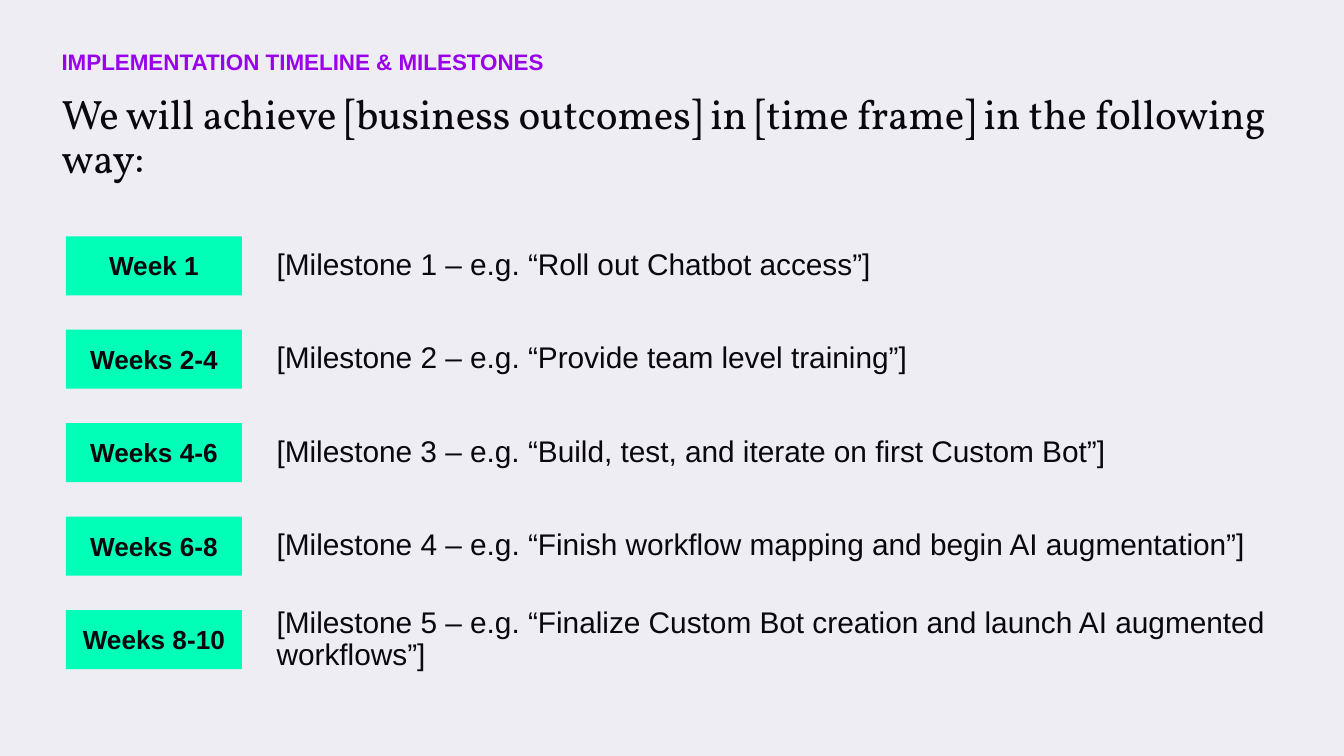
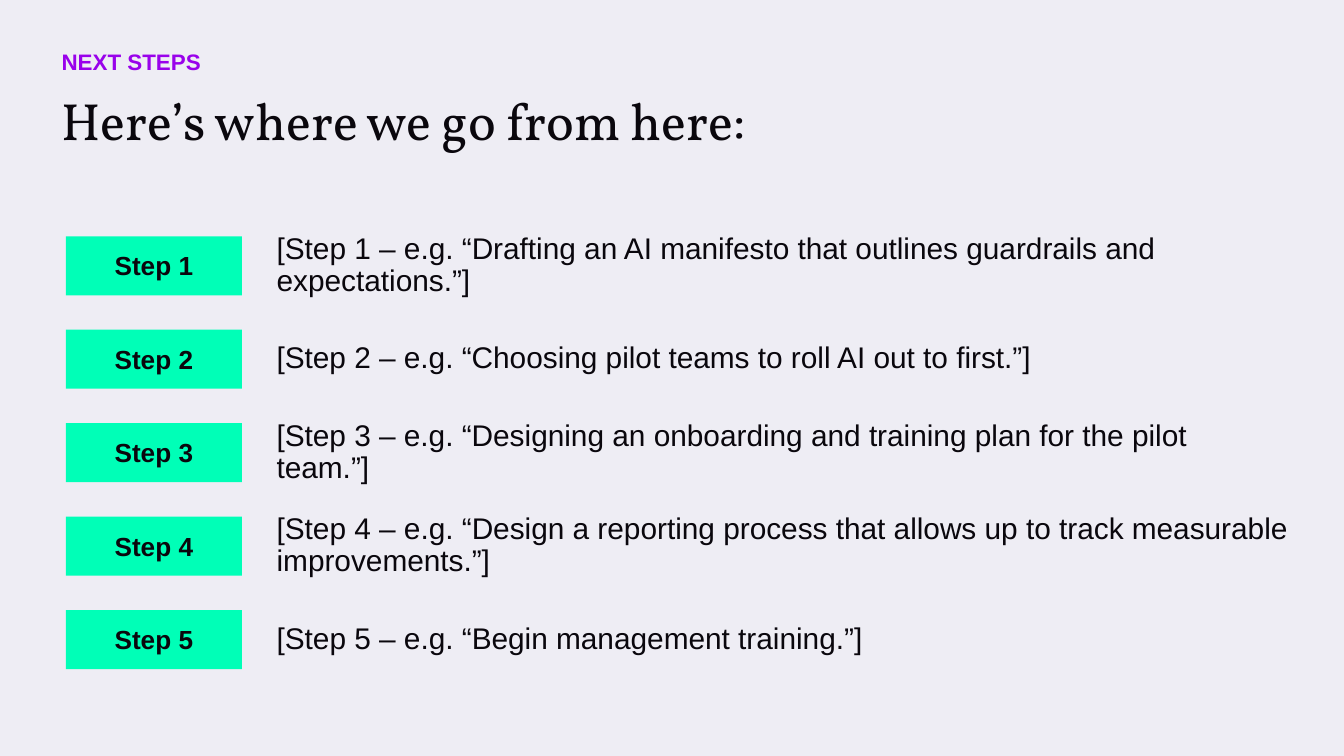
from dataclasses import dataclass

from pptx import Presentation
from pptx.dml.color import RGBColor
from pptx.enum.shapes import MSO_SHAPE
from pptx.enum.text import MSO_ANCHOR, MSO_AUTO_SIZE, PP_ALIGN
from pptx.util import Inches, Pt

RECTANGLE = MSO_SHAPE.RECTANGLE
TOP, MIDDLE = MSO_ANCHOR.TOP, MSO_ANCHOR.MIDDLE
LEFT, CENTER = PP_ALIGN.LEFT, PP_ALIGN.CENTER
GROW, FIXED = MSO_AUTO_SIZE.SHAPE_TO_FIT_TEXT, MSO_AUTO_SIZE.NONE

COLORS = {
    "background": "EEEDF4",
    "ink": "0A070D",
    "kicker": "9901EB",
    "badge": "00FFB7",
}

# The slide is a grid of 100 columns by 100 rows.
SLIDE_WIDTH = Inches(10)
SLIDE_HEIGHT = SLIDE_WIDTH * 9 // 16
COLUMN = SLIDE_WIDTH / 100
ROW = SLIDE_HEIGHT / 100

FIRST_ITEM_ROW = 35.16  # vertical centre of the first item
ITEM_PITCH = 12.36
BADGE_HEIGHT = 7.82
ITEM_TEXT_HEIGHT = 12.27


@dataclass(frozen=True)
class Area:
    """Columns and rows on the slide grid."""
    left: float
    top: float
    width: float
    height: float

    def lengths(self) -> tuple[int, int, int, int]:
        return (round(self.left * COLUMN), round(self.top * ROW),
                round(self.width * COLUMN), round(self.height * ROW))


@dataclass(frozen=True)
class TextStyle:
    font: dict
    color: str
    paragraph: dict
    anchor: MSO_ANCHOR = TOP
    auto_size: MSO_AUTO_SIZE = FIXED


@dataclass(frozen=True)
class Title:
    text: str
    size: int
    area: Area


@dataclass(frozen=True)
class Item:
    label: str
    text: str
    text_width: float


@dataclass(frozen=True)
class Page:
    kicker: str
    title: Title
    items: tuple[Item, ...]


KICKER_AREA = Area(3.6, 4.62, 51, 7.64)
KICKER_STYLE = TextStyle({"name": "Arial", "size": Pt(12), "bold": True},
                         "kicker", {"alignment": LEFT})
BADGE_STYLE = TextStyle({"name": "Arial", "size": Pt(14), "bold": True},
                        "ink", {"alignment": CENTER}, auto_size=GROW)
ITEM_STYLE = TextStyle({"name": "Arial", "size": Pt(16)}, "ink",
                       {"alignment": LEFT, "line_spacing": 0.9, "space_after": Pt(10)},
                       anchor=MIDDLE)

PAGES = (
    Page(
        "IMPLEMENTATION TIMELINE & MILESTONES",
        Title("We will achieve [business outcomes] in [time frame] in the following way:",
              22, Area(3.6, 10.67, 93.2, 14.93)),
        (
            Item("Week 1", "[Milestone 1 – e.g. “Roll out Chatbot access”]", 55.8),
            Item("Weeks 2-4", "[Milestone 2 – e.g. “Provide team level training”]", 55.8),
            Item("Weeks 4-6",
                 "[Milestone 3 – e.g. “Build, test, and iterate on first Custom Bot”]", 75.4),
            Item("Weeks 6-8",
                 "[Milestone 4 – e.g. “Finish workflow mapping and begin AI augmentation”]", 78.1),
            Item("Weeks 8-10",
                 "[Milestone 5 – e.g. “Finalize Custom Bot creation and launch AI "
                 "augmented workflows”]", 75.8),
        ),
    ),
    Page(
        "NEXT STEPS",
        Title("Here’s where we go from here:", 28, Area(3.6, 10.84, 91.4, 7.64)),
        (
            Item("Step 1",
                 "[Step 1 – e.g. “Drafting an AI manifesto that outlines guardrails and "
                 "expectations.”]", 72.9),
            Item("Step 2", "[Step 2 – e.g. “Choosing pilot teams to roll AI out to first.”]", 73.7),
            Item("Step 3",
                 "[Step 3 – e.g. “Designing an onboarding and training plan for the pilot "
                 "team.”]", 75.4),
            Item("Step 4",
                 "[Step 4 – e.g. “Design a reporting process that allows up to track "
                 "measurable improvements.”]", 78.1),
            Item("Step 5", "[Step 5 – e.g. “Begin management training.”]", 75.8),
        ),
    ),
)


def set_attributes(target, values: dict) -> None:
    for name, value in values.items():
        setattr(target, name, value)


def color(name: str) -> RGBColor:
    return RGBColor.from_string(COLORS[name])


def write_text(shape, text: str, style: TextStyle) -> None:
    frame = shape.text_frame
    margins = dict.fromkeys(
        ("margin_left", "margin_top", "margin_right", "margin_bottom"), Inches(0.1))
    set_attributes(frame, {"word_wrap": True, "auto_size": style.auto_size,
                           "vertical_anchor": style.anchor, **margins})
    para = frame.paragraphs[0]
    set_attributes(para, style.paragraph)
    span = para.add_run()
    span.text = text
    set_attributes(span.font, style.font)
    span.font.color.rgb = color(style.color)


def add_text(slide, area: Area, text: str, style: TextStyle) -> None:
    write_text(slide.shapes.add_textbox(*area.lengths()), text, style)


def add_badge(slide, area: Area, label: str) -> None:
    badge = slide.shapes.add_shape(RECTANGLE, *area.lengths())
    badge.shadow.inherit = False
    badge.fill.solid()
    badge.fill.fore_color.rgb = color("badge")
    badge.line.fill.background()
    write_text(badge, label, BADGE_STYLE)


def add_item(slide, index: int, item: Item) -> None:
    """Draw a badge and its text, both centred on the item's row."""
    middle = FIRST_ITEM_ROW + index * ITEM_PITCH
    add_badge(slide, Area(4.9, middle - BADGE_HEIGHT / 2, 13.1, BADGE_HEIGHT), item.label)
    text_area = Area(19.6, middle - ITEM_TEXT_HEIGHT / 2, item.text_width, ITEM_TEXT_HEIGHT)
    add_text(slide, text_area, item.text, ITEM_STYLE)


def add_page(deck, page: Page) -> None:
    slide = deck.slides.add_slide(deck.slide_layouts[6])
    title_style = TextStyle({"name": "Vollkorn", "size": Pt(page.title.size)}, "ink",
                            {"alignment": LEFT, "line_spacing": 0.9})
    add_text(slide, page.title.area, page.title.text, title_style)
    add_text(slide, KICKER_AREA, page.kicker, KICKER_STYLE)
    for index, item in enumerate(page.items):
        add_item(slide, index, item)


def main() -> None:
    deck = Presentation()
    set_attributes(deck, {"slide_width": SLIDE_WIDTH, "slide_height": SLIDE_HEIGHT})
    backdrop = deck.slide_master.background.fill
    backdrop.solid()
    backdrop.fore_color.rgb = color("background")
    for page in PAGES:
        add_page(deck, page)
    deck.save("out.pptx")


if __name__ == "__main__":
    main()
